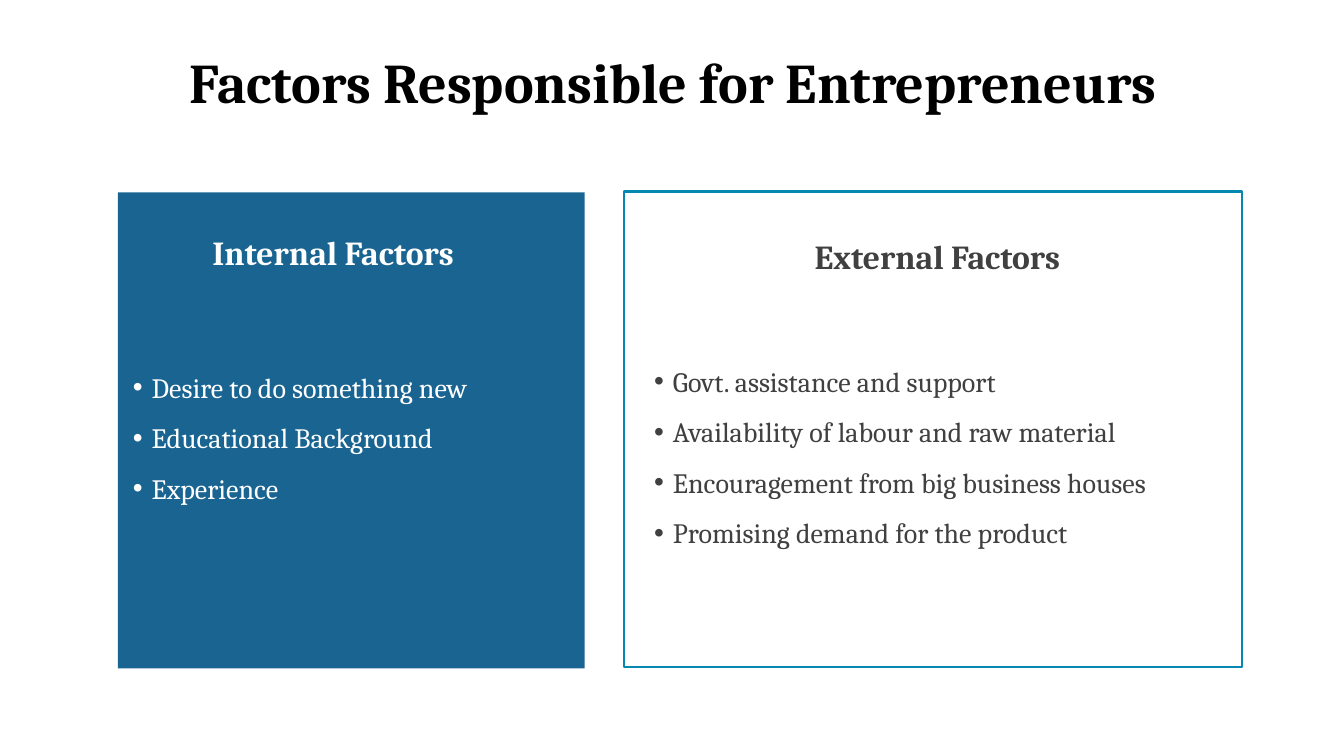
from lxml import etree
from pptx import Presentation
from pptx.dml import color
from pptx.enum import shapes, text
from pptx.oxml import ns
from pptx.util import Pt

FACE = "Cambria"
WHITE, BLACK, GREY = "FFFFFF", "000000", "404040"
BLUE, TEAL = "196491", "0587AF"


def paint(fill, tone):
    fill.solid()
    fill.fore_color.rgb = color.RGBColor.from_string(tone)


def panel(slide, box, tone, edge=None):
    shape = slide.shapes.add_shape(shapes.MSO_SHAPE.RECTANGLE, *map(Pt, box))
    shape.shadow.inherit = False
    paint(shape.fill, tone)
    if edge:
        paint(shape.line.fill, edge)
        shape.line.width = Pt(1.5)
    else:
        shape.line.fill.background()


def bullet(para):
    props = para._p.get_or_add_pPr()
    props.set("marL", str(Pt(13.5)))
    props.set("indent", str(-Pt(13.5)))
    for tag, key, value in (("a:buFont", "typeface", "Arial"),
                            ("a:buChar", "char", "•")):
        etree.SubElement(props, ns.qn(tag)).set(key, value)


def write(slide, box, lines, size, tone, form, bold=False, dots=False,
          anchor=text.MSO_ANCHOR.TOP):
    frame = slide.shapes.add_textbox(*map(Pt, box)).text_frame
    frame.word_wrap = True
    frame.vertical_anchor = anchor
    for i, line in enumerate(lines):
        para = frame.add_paragraph() if i else frame.paragraphs[0]
        for key, value in form.items():
            setattr(para, key, value)
        if dots:
            bullet(para)
        run = para.add_run()
        run.text = line
        look = {"name": FACE, "size": Pt(size), "bold": bold}
        for key, value in look.items():
            setattr(run.font, key, value)
        paint(run.font.fill, tone)


def head(slide, box, line, size, tone, form, **more):
    form = {"alignment": text.PP_ALIGN.CENTER, **form}
    write(slide, box, [line], size, tone, form, bold=True, **more)


def points(slide, box, lines, tone):
    write(slide, box, lines, 20, tone, {"line_spacing": 1.5}, dots=True)


def main():
    deck = Presentation()
    deck.slide_width, deck.slide_height = Pt(960), Pt(540)
    slide = deck.slides.add_slide(deck.slide_layouts[6])
    paint(slide.background.fill, WHITE)

    head(slide, (25.2, 35.3, 911.5, 51.1),
         "Factors Responsible for Entrepreneurs", 40, BLACK,
         {"line_spacing": 0.9, "space_before": Pt(10)},
         anchor=text.MSO_ANCHOR.MIDDLE)

    panel(slide, (84.2, 137.5, 333.4, 340), BLUE)
    panel(slide, (445.7, 136.8, 441.4, 340), WHITE, TEAL)

    points(slide, (87.8, 249.1, 300.2, 111.6),
           ["Desire to do something new", "Educational Background",
            "Experience"], WHITE)
    head(slide, (87.8, 162, 300.2, 36), "Internal Factors", 24, WHITE, {})

    points(slide, (460.1, 244.8, 419, 257.8),
           ["Govt. assistance and support",
            "Availability of labour and raw material",
            "Encouragement from big business houses",
            "Promising demand for the product"], GREY)
    head(slide, (460.1, 136.1, 419, 56.9), "External Factors", 24, GREY,
         {"line_spacing": 2.0})

    deck.save("out.pptx")


if __name__ == "__main__":
    main()
